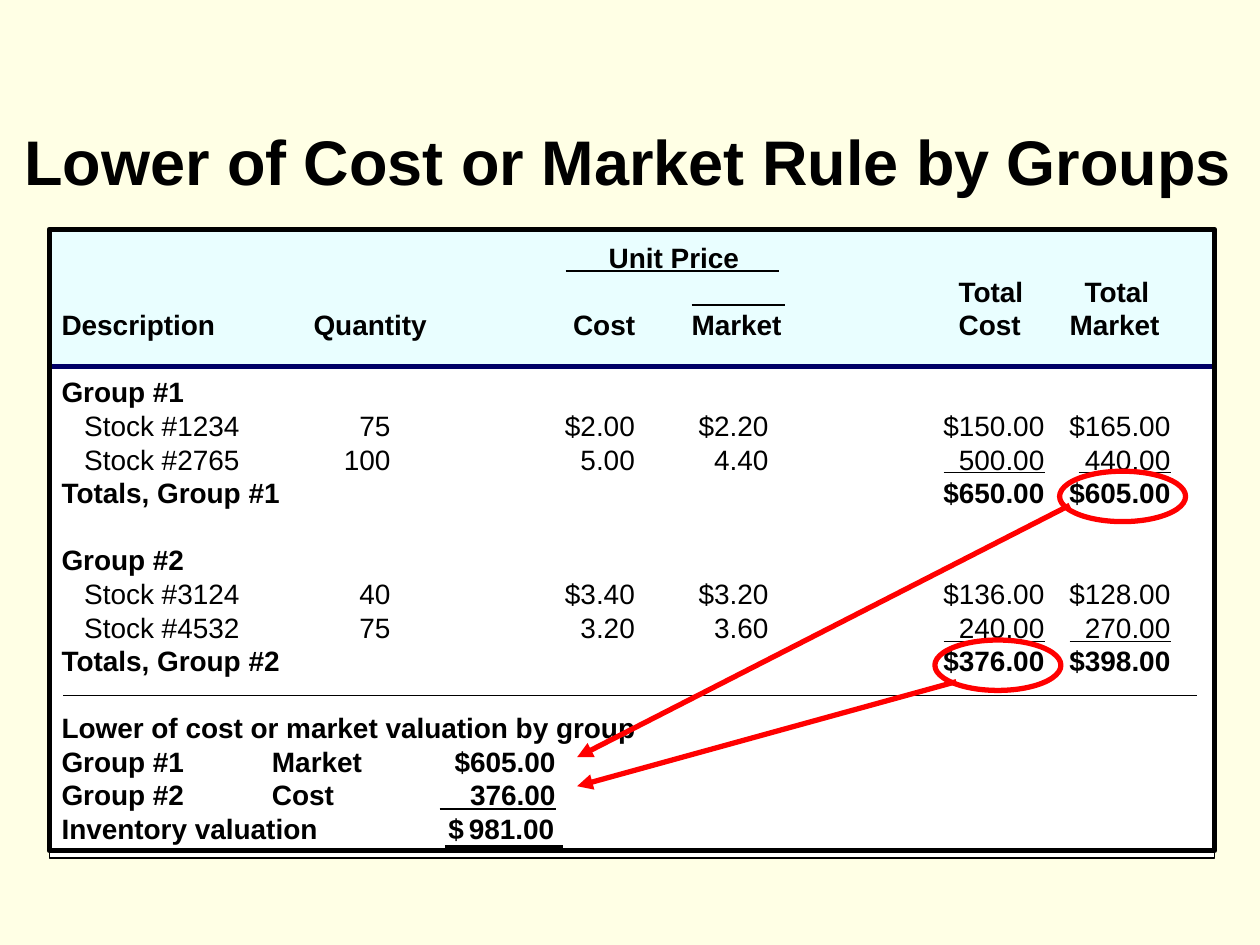
from dataclasses import dataclass

from lxml.etree import SubElement
from pptx import Presentation
from pptx.dml.color import RGBColor
from pptx.enum.shapes import MSO_CONNECTOR, MSO_SHAPE
from pptx.enum.text import MSO_ANCHOR, PP_ALIGN
from pptx.oxml.ns import qn
from pptx.util import Inches, Pt


@dataclass(frozen=True)
class Theme:
    font: str = "Arial"
    page: str = "FFFFE5"
    paper: str = "FFFFFF"
    head: str = "E9FEFF"
    ink: str = "000000"
    navy: str = "000066"
    mark: str = "FF0000"
    title: float = 36
    text: float = 16
    pitch: float = 19.2
    thin: float = 0.75
    thick: float = 3


THEME = Theme()

# Tab stops, in inches from the left edge of the text
UNIT = [(4.86, "ctr")]
TOTAL = [(7.12, "l"), (8.12, "l")]
HEAD = [(2, "l"), (4.06, "l"), (5, "l"), (7.12, "l"), (8, "l")]
STOCK = [(0.18, "l"), (2.61, "r"), (4.55, "r"), (5.61, "r"), (7.8, "r"), (8.8, "r")]
SUM = [(7.8, "r"), (8.8, "r")]
VALUE = [(1.67, "l"), (3.92, "r")]
FINAL = [(3.07, "l"), (3.91, "r")]

# Tab stops, bold, lines left open above, text
ROWS = [
    (UNIT, True, 0, "\tUnit Price"),
    (TOTAL, True, 0, "\tTotal\tTotal"),
    (HEAD, True, 0, "Description\tQuantity\tCost\tMarket\tCost\tMarket"),
    ([], True, 1, "Group #1"),
    (STOCK, False, 0, "\tStock #1234\t75\t$2.00\t$2.20\t$150.00\t$165.00"),
    (STOCK, False, 0, "\tStock #2765\t100\t5.00\t4.40\t500.00\t440.00"),
    (SUM, True, 0, "Totals, Group #1\t$650.00\t$605.00"),
    ([], True, 1, "Group #2"),
    (STOCK, False, 0, "\tStock #3124\t40\t$3.40\t$3.20\t$136.00\t$128.00"),
    (STOCK, False, 0, "\tStock #4532\t75\t3.20\t3.60\t240.00\t270.00"),
    (SUM, True, 0, "Totals, Group #2\t$376.00\t$398.00"),
    ([], True, 1, "Lower of cost or market valuation by group"),
    (VALUE, True, 0, "Group #1\tMarket\t$605.00"),
    (VALUE, True, 0, "Group #2\tCost\t376.00"),
    (FINAL, True, 0, "Inventory valuation\t$\t981.00"),
]

# Left, right and height of each thin rule, from the ledger's corner
RULES = [
    (4.1, 5.79, 0.33), (5.1, 5.84, 0.6),
    (7.1, 7.9, 1.93), (8.17, 8.9, 1.93),
    (7.1, 7.9, 3.27), (8.1, 8.9, 3.27),
    (3.1, 4.02, 4.6), (0.11, 9.11, 3.7),
]


def write(para, text, size=THEME.text, bold=True, align=PP_ALIGN.LEFT,
          pitch=None, gap=0, stops=()):
    para.alignment = align
    if pitch:
        para.line_spacing = Pt(pitch)
    para.space_before = Pt(gap)
    if stops:
        tabs = SubElement(para._p.get_or_add_pPr(), qn("a:tabLst"))
        for pos, kind in stops:
            SubElement(tabs, qn("a:tab"), pos=str(Inches(pos)), algn=kind)
    run = para.add_run()
    run.text = text
    font = run.font
    font.name, font.size, font.bold = THEME.font, Pt(size), bold
    font.color.rgb = RGBColor.from_string(THEME.ink)


def shape(slide, box, kind=MSO_SHAPE.RECTANGLE, fill=None,
          color=THEME.ink, width=THEME.thin):
    item = slide.shapes.add_shape(kind, *map(Inches, box))
    item.shadow.inherit = False
    if fill:
        item.fill.solid()
        item.fill.fore_color.rgb = RGBColor.from_string(fill)
    else:
        item.fill.background()
    item.line.color.rgb = RGBColor.from_string(color)
    item.line.width = Pt(width)
    return item


def line(slide, start, end, color=THEME.ink, width=THEME.thin, arrow=False):
    item = slide.shapes.add_connector(
        MSO_CONNECTOR.STRAIGHT, *map(Inches, (*start, *end)))
    item.line.color.rgb = RGBColor.from_string(color)
    item.line.width = Pt(width)
    if arrow:
        SubElement(item.line._get_or_add_ln(), qn("a:tailEnd"), type="triangle")
    SubElement(item._element.spPr, qn("a:effectLst"))


def title(slide, box):
    frame = slide.shapes.add_textbox(*map(Inches, box)).text_frame
    frame.word_wrap = True
    write(frame.paragraphs[0], "Lower of Cost or Market Rule by Groups",
          size=THEME.title, align=PP_ALIGN.CENTER)


def panel(slide, box):
    """Draw the tinted heading and the white body behind the ledger."""
    left, top, width, height = box
    split = top + 1.09
    shape(slide, (left, split, width, height - 1.03), fill=THEME.paper)
    shape(slide, (left, top, width, 1.09), fill=THEME.head)
    line(slide, (left, split), (left + width, split), THEME.navy, THEME.thick)


def ledger(slide, box):
    """Write the rows in their frame and rule off the sums."""
    left, top = box[:2]
    frame = shape(slide, box, width=THEME.thick).text_frame
    frame.word_wrap = True
    frame.vertical_anchor = MSO_ANCHOR.TOP
    frame.margin_top = Inches(0.09)
    for num, (stops, bold, open_rows, text) in enumerate(ROWS):
        para = frame.add_paragraph() if num else frame.paragraphs[0]
        write(para, text, bold=bold, pitch=THEME.pitch,
              gap=open_rows * THEME.pitch, stops=stops)
    for start, end, down in RULES:
        line(slide, (left + start, top + down), (left + end, top + down))
    base = top + 4.91
    line(slide, (left + 3.14, base), (left + 4.08, base), width=THEME.thick)


def marks(slide, box):
    """Ring the two lower totals and point to the valuation."""
    left, top = box[:2]
    rings = [(8.02, 1.92), (7.03, 3.26)]
    links = [((8.1, 2.19), (4.19, 4.19)), ((7.2, 3.59), (4.19, 4.42))]
    for start, end in links:
        line(slide, (left + start[0], top + start[1]),
             (left + end[0], top + end[1]), THEME.mark, THEME.thick, arrow=True)
    for across, down in rings:
        shape(slide, (left + across, top + down, 1, 0.4), MSO_SHAPE.OVAL,
              color=THEME.mark, width=THEME.thick)


def main():
    deck = Presentation()
    deck.slide_width, deck.slide_height = Inches(10), Inches(7.5)
    slide = deck.slides.add_slide(deck.slide_layouts[6])
    back = slide.background.fill
    back.solid()
    back.fore_color.rgb = RGBColor.from_string(THEME.page)
    box = (0.39, 1.82, 9.25, 4.93)
    panel(slide, box)
    ledger(slide, box)
    marks(slide, box)
    title(slide, (0.07, 0.92, 9.83, 0.7))
    deck.save("out.pptx")


if __name__ == "__main__":
    main()
